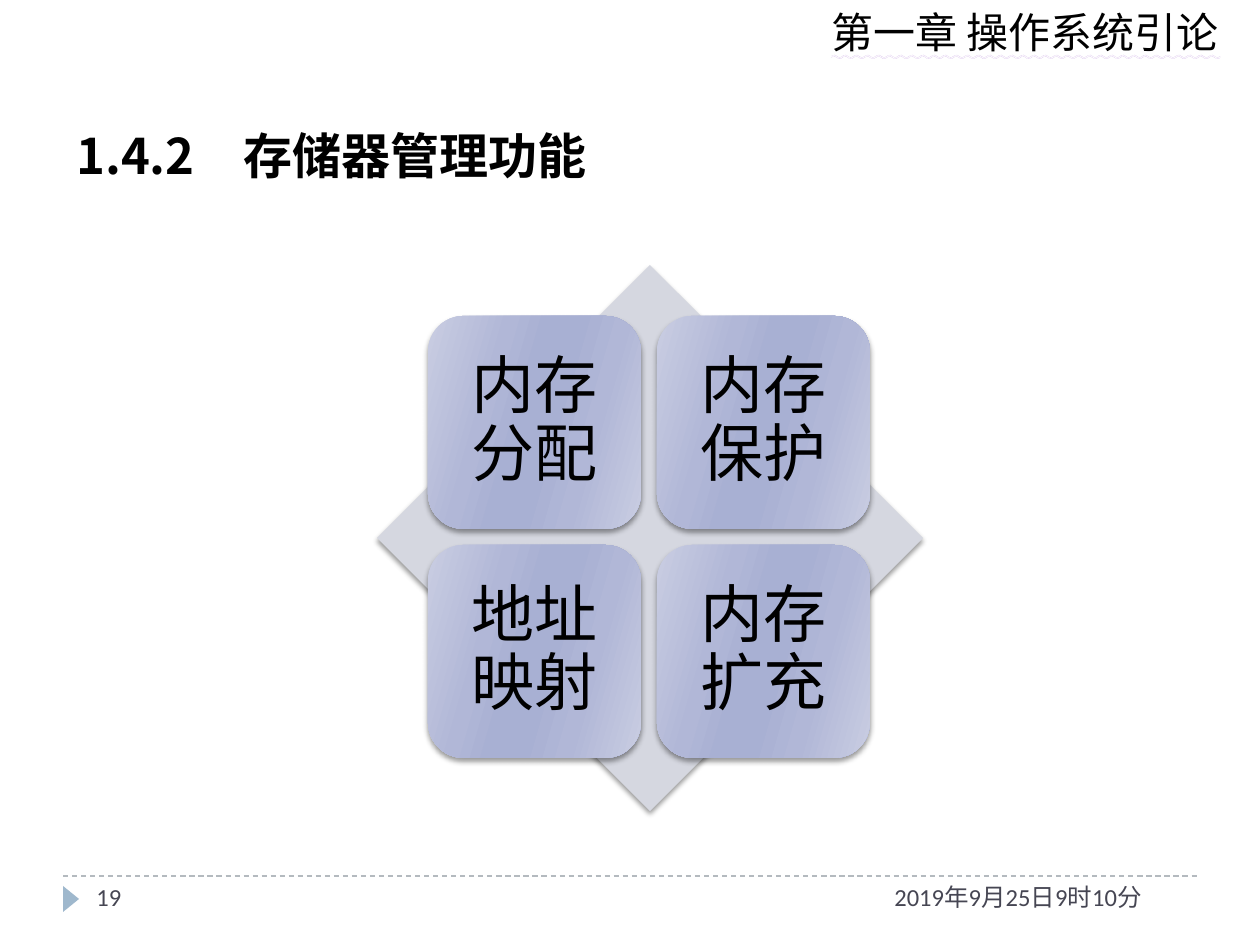
from dataclasses import dataclass
from itertools import product

from lxml.etree import SubElement
from pptx import Presentation
from pptx.dml.color import RGBColor
from pptx.enum.dml import MSO_LINE
from pptx.enum.shapes import MSO_CONNECTOR, MSO_SHAPE as Preset
from pptx.enum.text import MSO_ANCHOR as Anchor, MSO_UNDERLINE as Underline, PP_ALIGN as Align
from pptx.oxml.ns import qn
from pptx.util import Pt

PX = 914400 / 126


@dataclass(frozen=True)
class Theme:
    latin: str = "Calibri"
    asian: str = "Noto Sans CJK SC"
    black: str = "000000"
    muted: str = "464653"
    accent: str = "9FB8CD"
    dash: str = "B4BABF"
    wave: str = "C9A6E4"
    diamond: str = "D5D7E0"
    tile: tuple = ((0, "C9CDE2"), (30, "B1B7D7"), (45, "A8B0D3"),
                   (55, "A8B0D3"), (73, "B1B7D7"), (100, "C9CDE2"))
    footer_size: int = 14
    header_size: int = 24
    title_size: int = 28
    tile_size: int = 36


THEME = Theme()


def px(*lengths):
    return [round(length * PX) for length in lengths]


def apply_format(target, values):
    for name, value in values.items():
        setattr(target, name, value)


def write_text(shape, text, size, color=THEME.black, font=None, frame=None, paragraph=None):
    apply_format(shape.text_frame, {"word_wrap": True, **(frame or {})})
    line = shape.text_frame.paragraphs[0]
    apply_format(line, paragraph or {})
    run = line.add_run()
    run.text = text
    apply_format(run.font, {"name": THEME.latin, "size": Pt(size), **(font or {})})
    run.font.color.rgb = RGBColor.from_string(color)
    properties = run.font._element
    asian = SubElement(properties, qn("a:ea"), typeface=THEME.asian)
    properties.find(qn("a:latin")).addnext(asian)
    return run


def add_text(slide, box, text, size, **formats):
    return write_text(slide.shapes.add_textbox(*px(*box)), text, size, **formats)


def add_preset(slide, preset, box, color=None):
    shape = slide.shapes.add_shape(preset, *px(*box))
    shape.line.fill.background()
    shape.shadow.inherit = False
    if color:
        shape.fill.solid()
        shape.fill.fore_color.rgb = RGBColor.from_string(color)
    return shape


def add_shadow(shape):
    effects = shape._element.spPr.find(qn("a:effectLst"))
    shadow = SubElement(effects, qn("a:outerShdw"), blurRad=str(Pt(3)), dist=str(Pt(2)),
                        dir="5400000", rotWithShape="0")
    color = SubElement(shadow, qn("a:srgbClr"), val=THEME.black)
    SubElement(color, qn("a:alpha"), val="40000")


def fill_gradient(shape, stops, angle):
    shape.fill.gradient()
    shape.fill.gradient_angle = 360 - angle
    stop_list = shape._element.spPr.find(qn("a:gradFill")).find(qn("a:gsLst"))
    for stop in list(stop_list):
        stop_list.remove(stop)
    for position, color in stops:
        stop = SubElement(stop_list, qn("a:gs"), pos=str(position * 1000))
        SubElement(stop, qn("a:srgbClr"), val=color)


def add_tile(slide, box, text):
    tile = add_preset(slide, Preset.ROUNDED_RECTANGLE, box)
    fill_gradient(tile, THEME.tile, 16)
    add_shadow(tile)
    sides = ("left", "top", "right", "bottom")
    insets = {f"margin_{side}": px(19)[0] for side in sides}
    write_text(tile, text, THEME.tile_size,
               frame={"vertical_anchor": Anchor.MIDDLE, **insets},
               paragraph={"alignment": Align.CENTER, "line_spacing": 0.9})


def add_tile_grid(slide, labels):
    add_shadow(add_preset(slide, Preset.DIAMOND, (377, 265, 546, 546), THEME.diamond))
    left, top, size, pitch = 428, 316, 213, 229
    for (row, column), label in zip(product(range(2), repeat=2), labels):
        add_tile(slide, (left + column * pitch, top + row * pitch, size, size), label)


def add_header(slide, text):
    run = add_text(slide, (819, 0, 428, 63), text, THEME.header_size,
                   font={"underline": Underline.WAVY_DOUBLE_LINE}, frame={"word_wrap": False})
    underline = SubElement(run.font._element, qn("a:uFill"))
    solid = SubElement(underline, qn("a:solidFill"))
    SubElement(solid, qn("a:srgbClr"), val=THEME.wave)
    run.font._element.find(qn("a:solidFill")).addnext(underline)


def add_footer(slide, number, date):
    rule = slide.shapes.add_connector(MSO_CONNECTOR.STRAIGHT, *px(63, 876, 1197, 876))
    apply_format(rule.line, {"width": Pt(0.75), "dash_style": MSO_LINE.DASH})
    rule.line.color.rgb = RGBColor.from_string(THEME.dash)
    SubElement(rule._element.spPr, qn("a:effectLst"))
    marker = add_preset(slide, Preset.ISOSCELES_TRIANGLE, (58, 891, 26, 16), THEME.accent)
    marker.rotation = 90
    for box, text in (((882, 876, 315, 50), date), ((84, 876, 273, 50), number)):
        add_text(slide, box, text, THEME.footer_size, color=THEME.muted)


def main():
    presentation = Presentation()
    width, height = px(1260, 945)
    apply_format(presentation, {"slide_width": width, "slide_height": height})
    slide = presentation.slides.add_slide(presentation.slide_layouts[6])
    add_footer(slide, "19", "2019年9月25日9时10分")
    add_header(slide, "第一章 操作系统引论")
    add_text(slide, (64, 96, 1131, 100), "1.4.2\u3000存储器管理功能".replace("\\u3000", "　"),
             THEME.title_size, font={"name": THEME.asian, "bold": True},
             paragraph={"line_spacing": 1.4})
    add_tile_grid(slide, ("内存分配", "内存保护", "地址映射", "内存扩充"))
    presentation.save("out.pptx")


if __name__ == "__main__":
    main()
